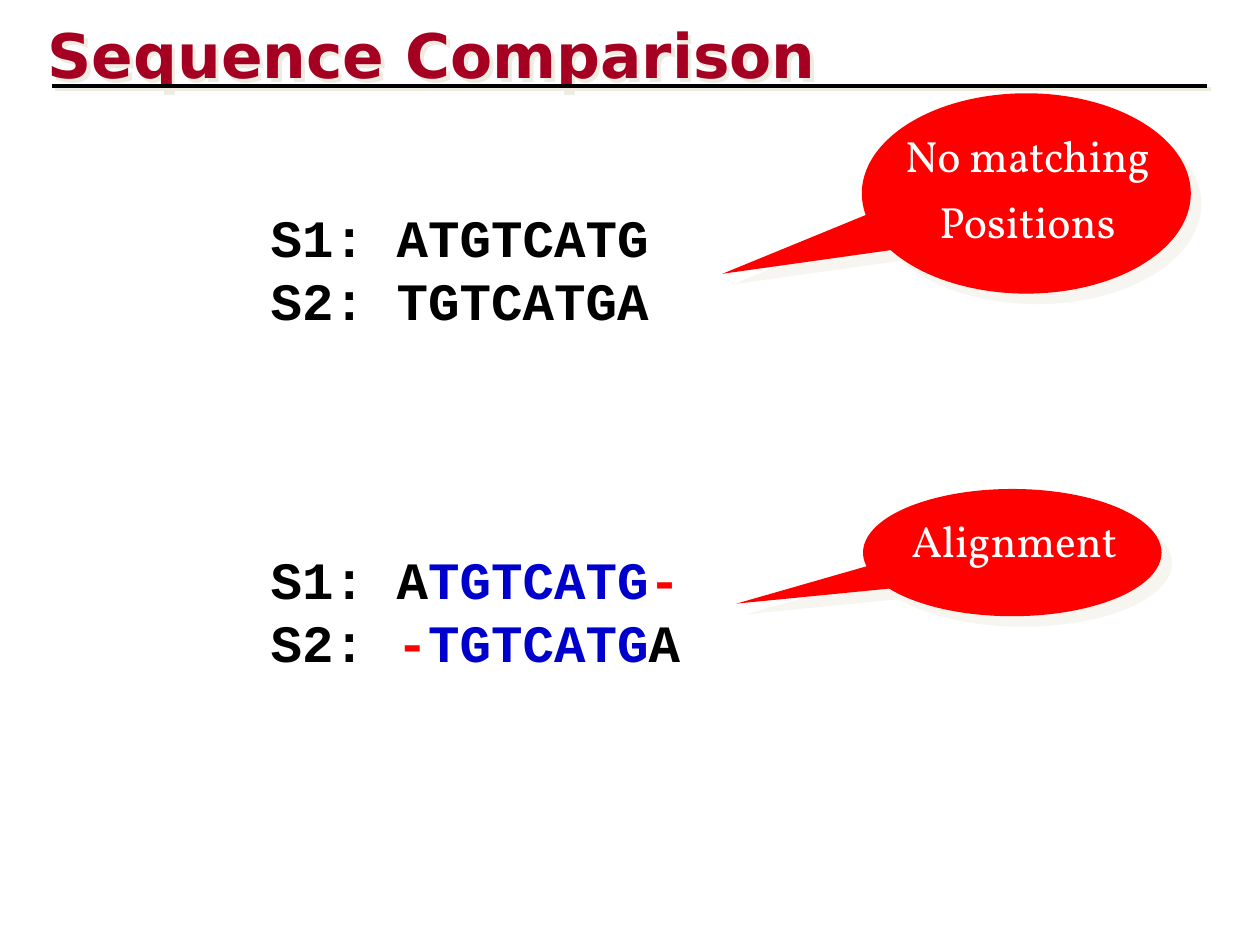
import dataclasses

import lxml.etree
import pptx
import pptx.dml.color
import pptx.enum.shapes
import pptx.enum.text
import pptx.oxml.ns
import pptx.util

Pt = pptx.util.Pt
qn = pptx.oxml.ns.qn


# Colours, fonts and type sizes
@dataclasses.dataclass(frozen=True)
class Theme:
    title: str = "A50021"
    black: str = "000000"
    blue: str = "0000CC"
    red: str = "FF0000"
    white: str = "FFFFFF"
    shade: str = "EEECE1"
    head: tuple = ("DejaVu Sans", 35.1, True)
    code: tuple = ("Courier New", 30, True)
    note: tuple = ("Vollkorn", 25, False)


T = Theme()


def rgb(tone):
    return pptx.dml.color.RGBColor.from_string(tone)


def shadow(item, dist, alpha):
    """Cast a sharp shadow down and to the right."""
    tag = lxml.etree.SubElement
    box = tag(item.element.spPr, qn("a:effectLst"))
    cast = tag(box, qn("a:outerShdw"), blurRad="0", dist=str(Pt(dist)),
               dir="2700000", algn="ctr", rotWithShape="0")
    tone = tag(cast, qn("a:srgbClr"), val=T.shade)
    tag(tone, qn("a:alpha"), val=str(alpha * 1000))


def text(shapes, area, lines, face, gap=0, inset=None, center=False, grow=True):
    """Add a text box; each line is a list of (words, colour) runs."""
    box = shapes.add_textbox(*map(Pt, area))
    frame = box.text_frame
    frame.word_wrap = True
    if grow:
        frame.auto_size = pptx.enum.text.MSO_AUTO_SIZE.SHAPE_TO_FIT_TEXT
    if inset:
        frame.margin_left = frame.margin_right = Pt(inset)
    for i, runs in enumerate(lines):
        para = frame.add_paragraph() if i else frame.paragraphs[0]
        para.font.name, para.font.bold = face[0], face[2]
        para.font.size = Pt(face[1])
        if center:
            para.alignment = pptx.enum.text.PP_ALIGN.CENTER
        if i and gap:
            para.space_before = Pt(gap)
        for words, tone in runs:
            run = para.add_run()
            run.text = words
            run.font.color.rgb = rgb(tone)
    return box


def rule(shapes, left, right, y):
    """Add the heavy line below the title."""
    line = shapes.add_connector(pptx.enum.shapes.MSO_CONNECTOR.STRAIGHT,
                                Pt(left), Pt(y), Pt(right), Pt(y))
    line.line.color.rgb = rgb(T.black)
    line.line.width = Pt(2.25)
    shadow(line, 2.8, 100)


def callout(shapes, area, label, words):
    """Group a speech bubble with its label."""
    group = shapes.add_group_shape().shapes
    kind = pptx.enum.shapes.MSO_SHAPE.OVAL_CALLOUT
    bubble = group.add_shape(kind, *map(Pt, area))
    bubble.adjustments[0] = -0.924
    bubble.adjustments[1] = 0.401
    bubble.fill.solid()
    bubble.fill.fore_color.rgb = rgb(T.red)
    bubble.line.fill.background()
    shadow(bubble, 8.5, 50)
    text(group, label, [[(word, T.white)] for word in words], T.note,
         gap=8, inset=6.5, center=True)


def main():
    deck = pptx.Presentation()
    deck.slide_width, deck.slide_height = Pt(720), Pt(540)
    shapes = deck.slides.add_slide(deck.slide_layouts[6]).shapes

    # Title and rule
    title = text(shapes, (20.2, 6.5, 612, 48.2),
                 [[("Sequence Comparison", T.title)]], T.head, grow=False)
    shadow(title, 2.8, 100)
    rule(shapes, 29.5, 690, 49)

    # Unaligned pair
    text(shapes, (147.6, 113.8, 422.6, 79.9),
         [[("S1: ATGTCATG", T.black)], [("S2: TGTCATGA", T.black)]], T.code)
    callout(shapes, (492.5, 53.3, 188, 114.5), (501.1, 69.8, 172.1, 115.2),
            ["No matching", "Positions"])

    # Aligned pair
    match, dash = ("TGTCATG", T.blue), ("-", T.red)
    text(shapes, (147.6, 308.9, 422.6, 79.9),
         [[("S1: A", T.black), match, dash],
          [("S2: ", T.black), dash, match, ("A", T.black)]], T.code)
    callout(shapes, (493.2, 279.4, 170.6, 72.7), (501.1, 290.2, 157, 23),
            ["Alignment"])

    deck.save("out.pptx")


if __name__ == "__main__":
    main()
